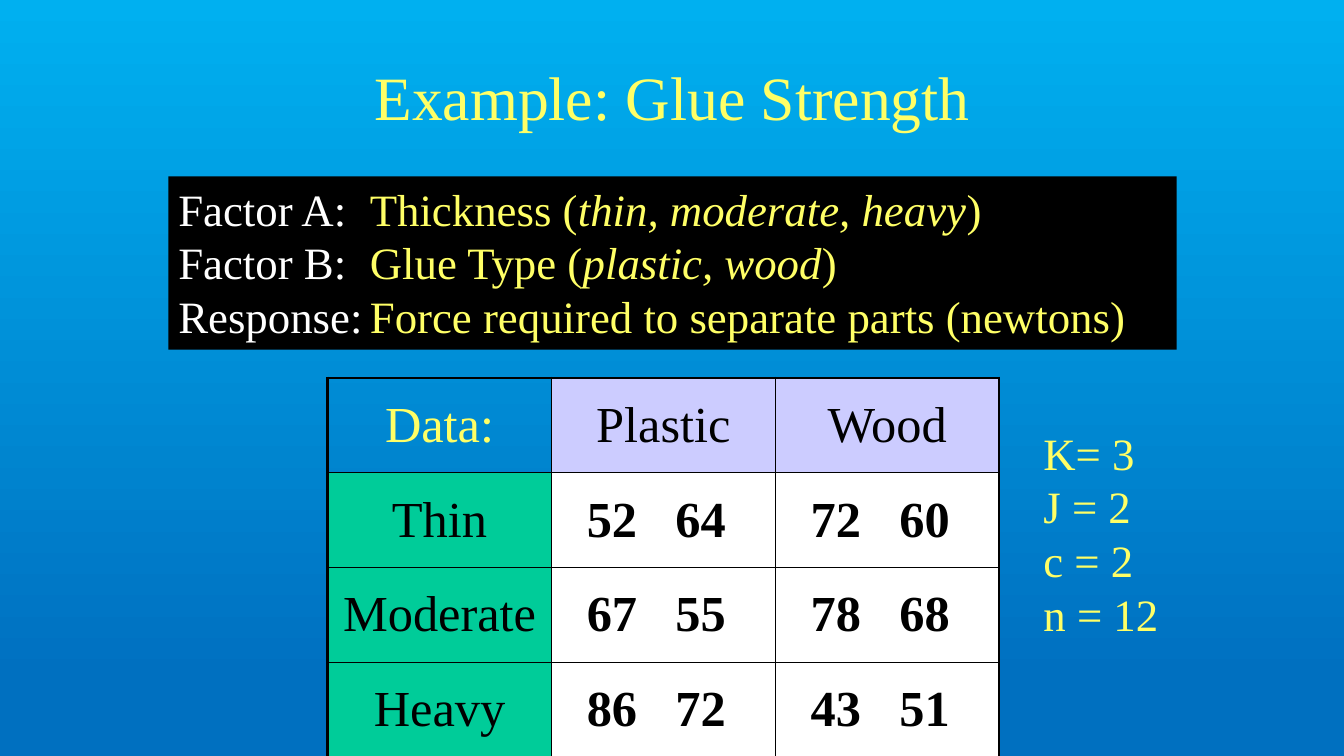
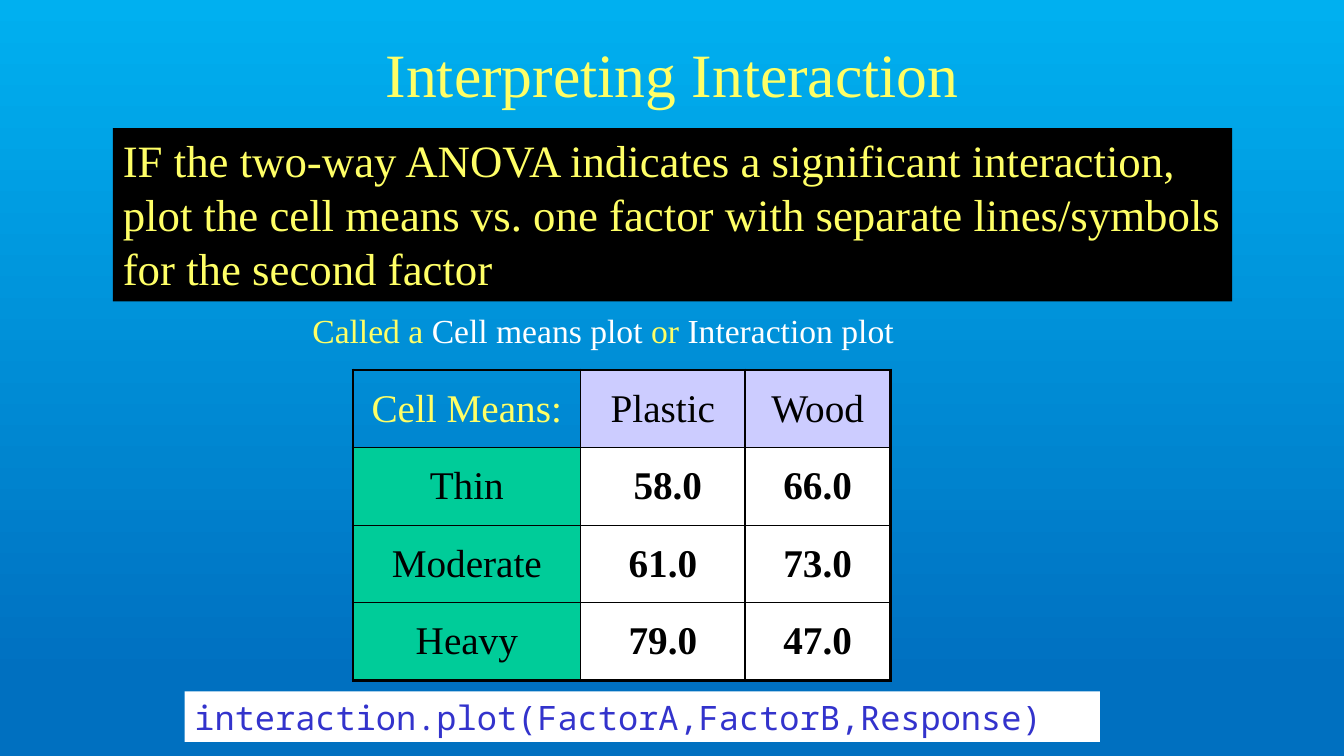
from lxml import etree
from pptx import Presentation
from pptx.dml.color import RGBColor
from pptx.enum.shapes import MSO_SHAPE as Preset
from pptx.enum.text import MSO_ANCHOR as Anchor, MSO_AUTO_SIZE as AutoSize, PP_ALIGN as Align
from pptx.oxml.ns import qn
from pptx.util import Inches, Pt

SERIF, MONO = "Times New Roman", "Noto Sans Mono"
YELLOW, WHITE, BLACK = "FFFF66", "FFFFFF", "000000"
LILAC, GREEN, CODE_BLUE = "CCCCFF", "00CC99", "3333CC"
SKY, DEEP_BLUE = "00B0F0", "0070C0"
OUTER, INNER = Pt(2.25), Pt(1)
TITLE_ONLY = 5


def rgb(code):
    return RGBColor.from_string(code)


def style(paragraph, size, colour=YELLOW, name=SERIF, align=Align.LEFT, bold=False):
    font = paragraph.font
    font.name, font.size, font.bold = name, Pt(size), bold
    font.color.rgb = rgb(colour)
    paragraph.alignment = align


def set_tab(paragraph, position):
    properties = paragraph._p.get_or_add_pPr()
    stops = etree.Element(qn("a:tabLst"))
    etree.SubElement(stops, qn("a:tab"), pos=str(position), algn="l")
    properties.insert(0, stops)


def paint_background(master):
    fill = master.background.fill
    fill.gradient()
    fill.gradient_angle = 270
    for stop, colour, position in zip(fill.gradient_stops, (SKY, DEEP_BLUE), (0, 0.9)):
        stop.color.rgb = rgb(colour)
        stop.position = position


def add_titled_slide(deck, heading, top):
    slide = deck.slides.add_slide(deck.slide_layouts[TITLE_ONLY])
    title = slide.shapes.title
    title.left, title.top = Inches(2.42), Inches(top)
    title.width, title.height = Inches(8.5), Inches(1.25)
    frame = title.text_frame
    frame.text = heading
    frame.auto_size = AutoSize.NONE
    frame.vertical_anchor = Anchor.MIDDLE
    style(frame.paragraphs[0], 44, align=Align.CENTER)
    return slide


def add_text(slide, box, lines, size, fill=None, colour=YELLOW, name=SERIF, tab=None):
    place = [Inches(length) for length in box]
    if fill:
        panel = slide.shapes.add_shape(Preset.RECTANGLE, *place)
        panel.shadow.inherit = False
        panel.fill.solid()
        panel.fill.fore_color.rgb = rgb(fill)
        panel.line.fill.background()
    else:
        panel = slide.shapes.add_textbox(*place)
    frame = panel.text_frame
    frame.word_wrap = True
    frame.vertical_anchor = Anchor.TOP
    for index, pieces in enumerate(lines):
        paragraph = frame.add_paragraph() if index else frame.paragraphs[0]
        style(paragraph, size, colour, name)
        if tab:
            set_tab(paragraph, Inches(tab))
        for words, tint, italic in pieces:
            run = paragraph.add_run()
            run.text = words
            run.font.color.rgb = rgb(tint)
            if italic:
                run.font.italic = True


def plain(words, colour=YELLOW):
    return words, colour, False


def slanted(words):
    return words, YELLOW, True


def add_borders(cell, at_left, at_right, at_top, at_bottom):
    properties = cell._tc.get_or_add_tcPr()
    edges = zip(("L", "R", "T", "B"), (at_left, at_right, at_top, at_bottom))
    for index, (side, is_outer) in enumerate(edges):
        line = etree.Element(qn("a:ln" + side), w=str(OUTER if is_outer else INNER))
        solid = etree.SubElement(line, qn("a:solidFill"))
        etree.SubElement(solid, qn("a:srgbClr"), val=BLACK)
        properties.insert(index, line)


def cell_colours(row, column):
    if row == 0:
        return (LILAC, BLACK) if column else (None, YELLOW)
    return (WHITE if column else GREEN), BLACK


def add_data_table(slide, left, top, widths, row_height, rows, size):
    height = row_height * len(rows)
    table = slide.shapes.add_table(
        len(rows), len(widths), Inches(left), Inches(top), Inches(sum(widths)), Inches(height)
    ).table
    table.first_row = table.horz_banding = False
    for column, width in zip(table.columns, widths):
        column.width = Inches(width)
    last_row, last_column = len(rows) - 1, len(widths) - 1
    for r, entries in enumerate(rows):
        table.rows[r].height = Inches(row_height)
        for c, entry in enumerate(entries):
            cell = table.cell(r, c)
            fill, colour = cell_colours(r, c)
            if fill:
                cell.fill.solid()
                cell.fill.fore_color.rgb = rgb(fill)
            else:
                cell.fill.background()
            add_borders(cell, c == 0, c == last_column, r == 0, r == last_row)
            cell.vertical_anchor = Anchor.MIDDLE
            cell.text = entry
            paragraph = cell.text_frame.paragraphs[0]
            is_pair = "\t" in entry
            style(paragraph, size, colour, bold=r > 0 and c > 0,
                  align=Align.LEFT if is_pair else Align.CENTER)
            if is_pair:
                cell.margin_left = Inches(0.35)
                set_tab(paragraph, Inches(0.88))


def glue_strength(deck):
    slide = add_titled_slide(deck, "Example: Glue Strength", 0.33)
    factors = [
        [plain("Factor A:\t", WHITE), plain("Thickness ("),
         slanted("thin, moderate, heavy"), plain(")")],
        [plain("Factor B:\t", WHITE), plain("Glue Type ("),
         slanted("plastic, wood"), plain(")")],
        [plain("Response:\t", WHITE), plain("Force required to separate parts (newtons)")],
    ]
    add_text(slide, (1.67, 1.75, 10, 1.72), factors, 32, fill=BLACK, tab=1.9)
    measurements = [
        ("Data:", "Plastic", "Wood"),
        ("Thin", "52\t64", "72\t60"),
        ("Moderate", "67\t55", "78\t68"),
        ("Heavy", "86\t72", "43\t51"),
    ]
    add_data_table(slide, 3.25, 3.75, (2.22, 2.22, 2.22), 0.94, measurements, 36)
    counts = [[plain(count)] for count in ("K= 3", "J = 2", "c = 2", "n = 12")]
    add_text(slide, (10.25, 4.17, 1.42, 2.26), counts, 32)


def interpreting_interaction(deck):
    slide = add_titled_slide(deck, "Interpreting Interaction", 0.1)
    advice = ("IF the two-way ANOVA indicates a significant interaction, plot the cell means "
              "vs. one factor with separate lines/symbols for the second factor")
    add_text(slide, (1.12, 1.27, 11.1, 1.72), [[plain(advice)]], 32, fill=BLACK)
    plot_names = [plain("Called a "), plain("Cell means plot ", WHITE),
                  plain("or "), plain("Interaction plot", WHITE)]
    add_text(slide, (3, 3.03, 8.17, 0.5), [plot_names], 24)
    cell_means = [
        ("Cell Means:", "Plastic", "Wood"),
        ("Thin", " 58.0", "66.0"),
        ("Moderate", "61.0", "73.0"),
        ("Heavy", "79.0", "47.0"),
    ]
    add_data_table(slide, 3.5, 3.67, (2.26, 1.63, 1.44), 0.77, cell_means, 28)
    command = plain("interaction.plot(FactorA,FactorB,Response)", CODE_BLUE)
    add_text(slide, (1.83, 6.86, 9.08, 0.5), [[command]], 24, fill=WHITE,
             colour=CODE_BLUE, name=MONO)


def main():
    deck = Presentation()
    deck.slide_width, deck.slide_height = Inches(13.33), Inches(7.5)
    paint_background(deck.slide_master)
    glue_strength(deck)
    interpreting_interaction(deck)
    deck.save("out.pptx")


main()
